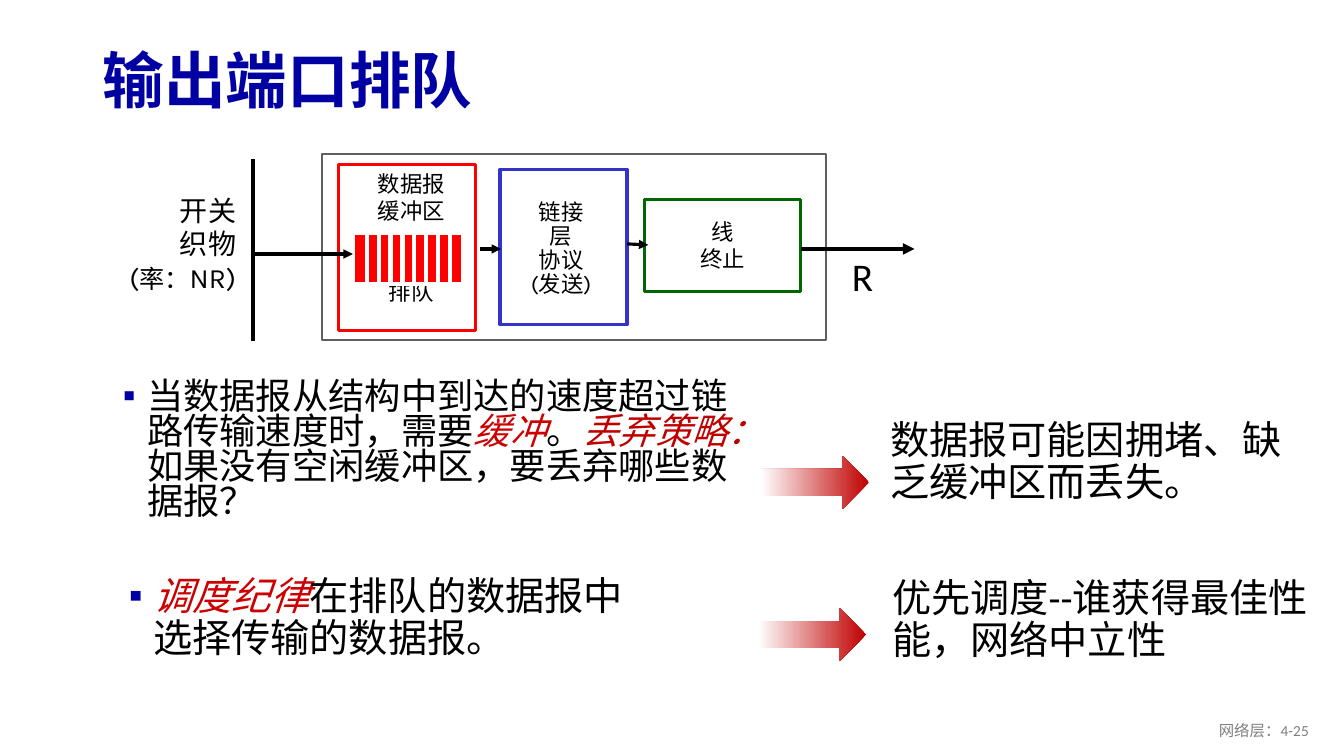
from lxml.etree import SubElement
from pptx import Presentation
from pptx.dml.color import RGBColor
from pptx.enum.shapes import MSO_CONNECTOR as CONN, MSO_SHAPE as SHAPE
from pptx.enum.text import MSO_ANCHOR as ANCHOR, PP_ALIGN as ALIGN
from pptx.oxml.ns import qn
from pptx.util import Inches, Pt

BLACK, WHITE, RED, NAVY = "000000", "FFFFFF", "FF0000", "0000A3"
CRIMSON, DARK_RED = "CC0000", "C00000"


def rgb(value):
    """Turn a hex string into a colour."""
    return RGBColor.from_string(value)


def write(sp, paras, size, name="Calibri", color=BLACK, align=ALIGN.LEFT,
          spacing=1.0, anchor=ANCHOR.TOP, wrap=True, bullet=False):
    """Fill a shape with paragraphs, each a list of (text, overrides) runs."""
    tf = sp.text_frame
    tf.word_wrap, tf.vertical_anchor = wrap, anchor
    for i, runs in enumerate(paras):
        p = tf.paragraphs[0] if i == 0 else tf.add_paragraph()
        p.alignment, p.line_spacing = align, spacing
        if bullet:
            add_bullet(p)
        for text, extra in runs:
            r = p.add_run()
            r.text = text
            fmt = {"size": size, "color": color, "name": name, **extra}
            r.font.color.rgb = rgb(fmt.pop("color"))
            fmt["size"] = Pt(fmt["size"])
            for key, value in fmt.items():
                setattr(r.font, key, value)
    return tf


def add_bullet(p):
    """Give a paragraph a hanging navy square bullet."""
    pPr = p._p.get_or_add_pPr()
    pPr.set("marL", str(Inches(0.39)))
    pPr.set("indent", str(Inches(-0.24)))
    clr = SubElement(pPr, qn("a:buClr"))
    SubElement(clr, qn("a:srgbClr")).set("val", NAVY)
    SubElement(pPr, qn("a:buFont")).set("typeface", "Arial")
    SubElement(pPr, qn("a:buChar")).set("char", "▪")


def text_box(s, x, y, w, h, paras, size, **fmt):
    """Add a text box and return its text frame."""
    sp = s.shapes.add_textbox(Inches(x), Inches(y), Inches(w), Inches(h))
    return write(sp, paras, size, **fmt)


def block(s, x, y, w, h, line=None, width=2.25, fill=WHITE, kind=SHAPE.RECTANGLE):
    """Add a filled shape with an optional outline."""
    sp = s.shapes.add_shape(kind, Inches(x), Inches(y), Inches(w), Inches(h))
    sp.shadow.inherit = False
    sp.fill.solid()
    sp.fill.fore_color.rgb = rgb(fill)
    if line:
        sp.line.color.rgb = rgb(line)
        sp.line.width = Pt(width)
    else:
        sp.line.fill.background()
    return sp


def line(s, x1, y1, x2, y2, color=BLACK, width=2.25, arrow=False):
    """Add a straight line, with an arrowhead at its end if asked."""
    c = s.shapes.add_connector(CONN.STRAIGHT, *map(Inches, (x1, y1, x2, y2)))
    c.line.color.rgb = rgb(color)
    c.line.width = Pt(width)
    if arrow:
        SubElement(c.line._get_or_add_ln(), qn("a:tailEnd")).set("type", "triangle")
    SubElement(c._element.spPr, qn("a:effectLst"))


def plain(*texts):
    """Make one unformatted paragraph of each text."""
    return [[(text, {})] for text in texts]


def buffer_queue(s, x, y):
    """Draw the datagram buffer with its striped queue."""
    block(s, x, y, 1.36, 1.65, RED)
    tf = text_box(s, x + 0.09, y + 0.01, 1.26, 1.6, plain("数据报", "缓冲区", "排队"),
                  16, name="Arial", align=ALIGN.CENTER, wrap=False)
    tf.paragraphs[2].space_before = Pt(39)
    block(s, x + 0.14, y + 0.68, 1.09, 0.51, WHITE, 3, RED)
    for i in range(8):
        stripe = x + 0.28 + i * 0.82 / 7
        line(s, stripe, y + 0.69, stripe, y + 1.18, WHITE, 3)


def port_diagram(s, x, y):
    """Draw the output port from switch fabric to outgoing line."""
    label = {"name": "Karla", "anchor": ANCHOR.MIDDLE, "wrap": False}
    block(s, x + 1.9, y, 5, 1.84, "5F5F5F", 1.5)
    write(block(s, x + 5.1, y + 0.45, 1.55, 0.91, "006600"),
          plain("线", "终止"), 16, align=ALIGN.CENTER, **label)
    block(s, x + 3.67, y + 0.15, 1.26, 1.54, "3333CC")
    line(s, x + 3.47, y + 0.94, x + 3.68, y + 0.94, arrow=True)
    line(s, x + 4.93, y + 0.89, x + 5.14, y + 0.9, arrow=True)
    write(block(s, x + 3.7, y + 0.49, 1.15, 0.91),
          plain("链接", "层", "协议", "(发送)"), 16,
          align=ALIGN.CENTER, spacing=0.9, **label)
    rate = [("(", {}), ("率：", {"size": 18}), ("NR)", {})]
    write(block(s, x, y + 0.43, 1.15, 0.91),
          plain("开关", "织物") + [rate], 20, align=ALIGN.RIGHT, **label)
    buffer_queue(s, x + 2.07, y + 0.1)
    line(s, x + 1.22, y + 0.05, x + 1.22, y + 1.85)
    line(s, x + 1.2, y + 0.99, x + 2.21, y + 0.99, arrow=True)
    line(s, x + 6.65, y + 0.94, x + 7.78, y + 0.94, width=2.75, arrow=True)
    text_box(s, x + 7.06, y + 0.92, 0.35, 0.57, plain("R"), 28)


def consequence(s, x, y, w, arrow_x, arrow_y, text):
    """Place a result text and the fading arrow that leads to it."""
    write(block(s, x, y, w, 1.37), plain(text), 28, spacing=0.9)
    sp = block(s, arrow_x, arrow_y, 1.07, 0.53, kind=SHAPE.RIGHT_ARROW)
    sp.fill.gradient()
    sp.fill.gradient_angle = 180
    for stop, color in zip(sp.fill.gradient_stops, (DARK_RED, WHITE)):
        stop.color.rgb = rgb(color)


def main():
    """Build the slide and save it."""
    prs = Presentation()
    prs.slide_width, prs.slide_height = Inches(13.33), Inches(7.5)
    s = prs.slides.add_slide(prs.slide_layouts[6])
    text_box(s, 0.92, 0.34, 11.5, 0.98, [[("输出端口排队", {"bold": True})]], 44,
             color=NAVY, spacing=0.9, anchor=ANCHOR.MIDDLE)
    buffering = [("当数据报从结构中到达的速度超过链路传输速度时，需要", {}),
                 ("缓冲", {"color": CRIMSON, "italic": True}),
                 ("。", {}),
                 ("丢弃策略：", {"color": DARK_RED, "italic": True}),
                 ("如果没有空闲缓冲区，要丢弃哪些数据报？", {})]
    text_box(s, 0.97, 3.74, 6.54, 1.55, [buffering], 25.9, spacing=0.8, bullet=True)
    scheduling = [("调度纪律", {"color": CRIMSON, "italic": True}),
                  ("在排队的数据报中选择传输的数据报。", {})]
    text_box(s, 1.03, 5.67, 5.61, 1.41, [scheduling], 28, spacing=0.9, bullet=True)
    consequence(s, 8.73, 4.12, 4.32, 7.55, 4.52, "数据报可能因拥堵、缺乏缓冲区而丢失。")
    consequence(s, 8.75, 5.69, 4.58, 7.52, 6.03, "优先调度--谁获得最佳性能，网络中立性")
    port_diagram(s, 1.29, 1.53)
    text_box(s, 10.08, 7.05, 3, 0.4, plain("网络层：4-25"), 11, color="808080",
             align=ALIGN.RIGHT, anchor=ANCHOR.MIDDLE)
    prs.save("out.pptx")


if __name__ == "__main__":
    main()
